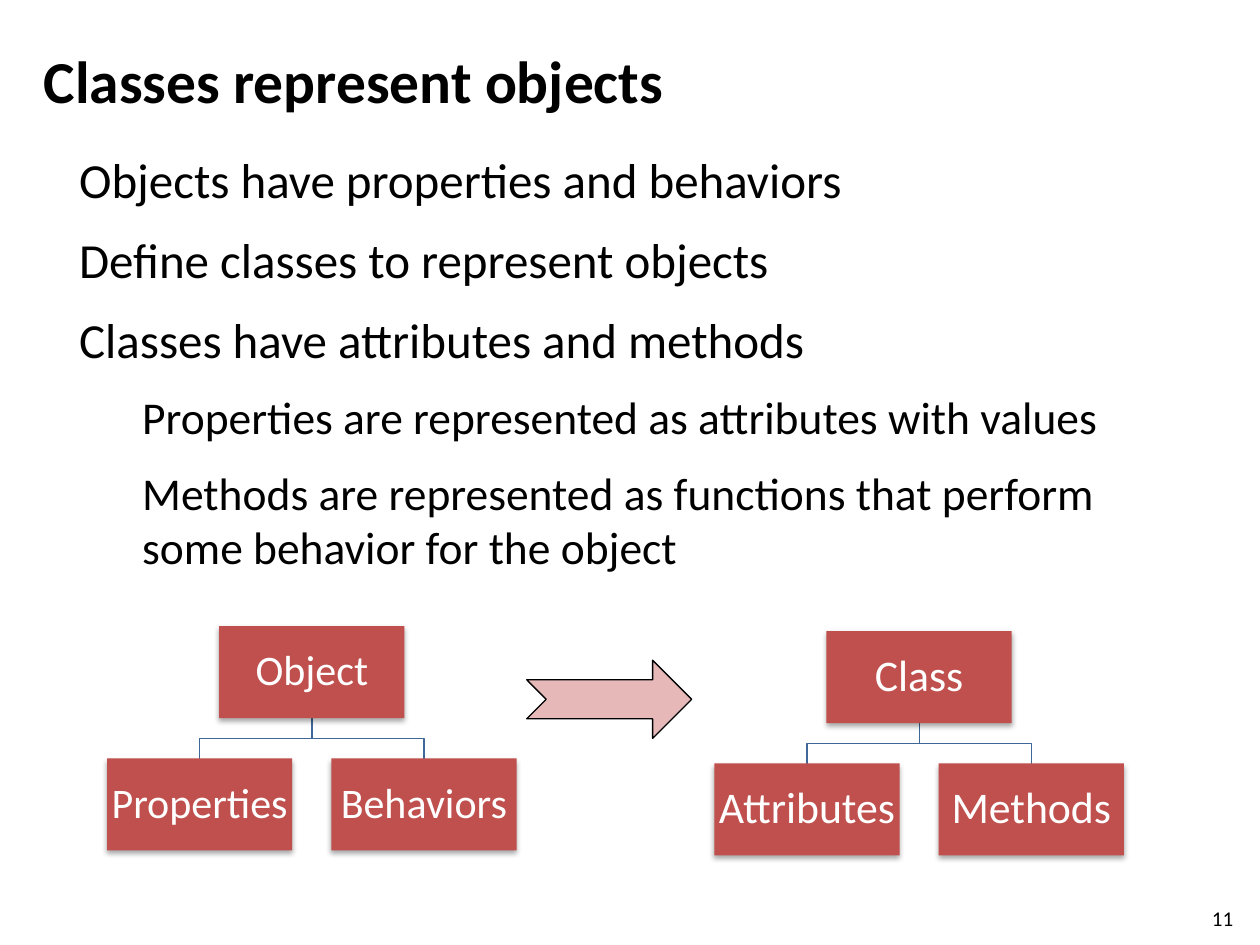
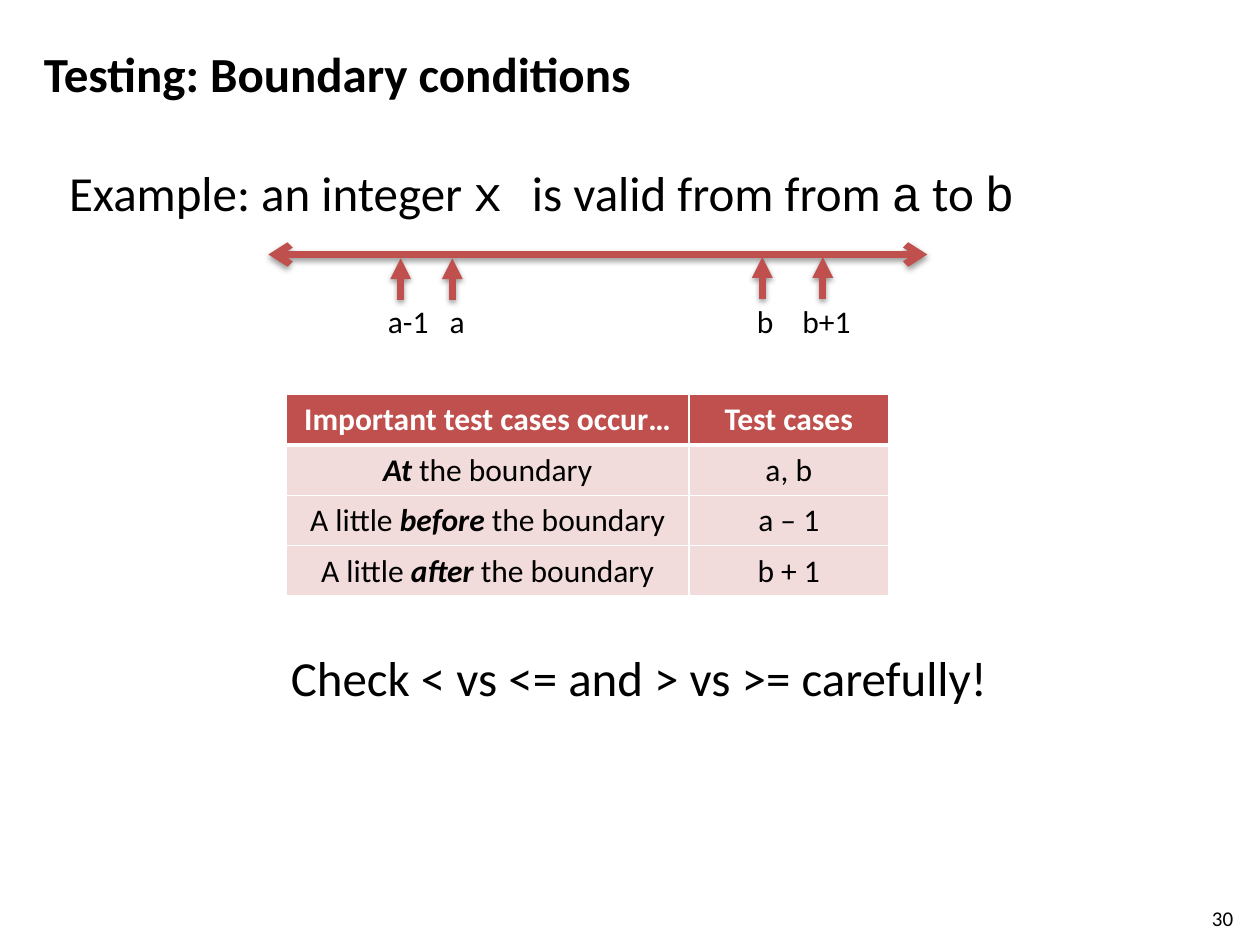
import dataclasses

import pptx
import pptx.dml.color
import pptx.enum.shapes
import pptx.enum.text
import pptx.oxml
import pptx.oxml.ns
import pptx.util
from pptx.util import Inches

SHAPE = pptx.enum.shapes.MSO_SHAPE
ALIGN = pptx.enum.text.PP_ALIGN
ANCHOR = pptx.enum.text.MSO_ANCHOR
Pt = pptx.util.Pt
NS = pptx.oxml.ns.nsdecls("a")


@dataclasses.dataclass(frozen=True)
class Theme:
    # Fonts and type sizes
    font: str = "Calibri"
    code: str = "Courier New"
    title: int = 34
    long_title: int = 28
    body: int = 28
    sub: int = 26
    small: int = 18
    number: int = 12
    # Colours
    ink: str = "000000"
    paper: str = "FFFFFF"
    accent: str = "C0504D"
    accent_mid: str = "E6B9B8"
    accent_pale: str = "F2DCDB"
    branch: str = "3F6797"


def rgb(value):
    return pptx.dml.color.RGBColor.from_string(value)


def xml(text):
    return pptx.oxml.parse_xml(text)


class Deck:
    """Holds the style and the current slide."""

    def __init__(self, theme):
        self.t = theme
        self.prs = pptx.Presentation()
        self.prs.slide_width, self.prs.slide_height = Inches(10), Inches(7.5)
        self.s = None

    def slide(self, title, number, size):
        self.s = self.prs.slides.add_slide(self.prs.slide_layouts[6])
        self.text(0.25, 0.3, 8.67, 0.7, [title], size=size, bold=True)
        self.text(9.52, 7.14, 0.4, 0.24, [str(number)], size=self.t.number)

    def add_runs(self, p, runs, color=None, **font):
        """Runs are a plain string or a list of (text, font overrides)."""
        if isinstance(runs, str):
            runs = [(runs, {})]
        for text, changes in runs:
            r = p.add_run()
            r.text = text
            for key, value in {"name": self.t.font, **font, **changes}.items():
                setattr(r.font, key, Pt(value) if key == "size" else value)
            r.font.color.rgb = rgb(color or self.t.ink)

    def text(self, x, y, w, h, paragraphs, size, after=0, align=ALIGN.LEFT, **font):
        tf = self.s.shapes.add_textbox(*map(Inches, (x, y, w, h))).text_frame
        tf.word_wrap = True
        for i, runs in enumerate(paragraphs):
            p = tf.paragraphs[0] if i == 0 else tf.add_paragraph()
            for key, value in {"alignment": align, "space_after": Pt(after)}.items():
                setattr(p, key, value)
            self.add_runs(p, runs, size=size, **font)
        return tf

    def shadow(self, spPr, alpha, dist):
        effects = spPr.find(pptx.oxml.ns.qn("a:effectLst"))
        if effects is None:
            effects = xml(f"<a:effectLst {NS}/>")
            spPr.append(effects)
        effects.append(xml(
            f'<a:outerShdw {NS} blurRad="{Pt(3.1)}" dist="{Pt(dist)}" dir="5400000" '
            f'rotWithShape="0"><a:srgbClr val="{self.t.ink}">'
            f'<a:alpha val="{alpha * 1000}"/></a:srgbClr></a:outerShdw>'))

    def shape(self, kind, x, y, w, h, fill, line=None):
        sp = self.s.shapes.add_shape(kind, *map(Inches, (x, y, w, h)))
        sp.shadow.inherit = False
        sp.fill.solid()
        sp.fill.fore_color.rgb = rgb(fill)
        if line:
            sp.line.color.rgb, sp.line.width = rgb(line), Pt(0.75)
        else:
            sp.line.fill.background()
        return sp

    def box(self, x, y, w, h, label, size):
        sp = self.shape(SHAPE.RECTANGLE, x, y, w, h, self.t.accent)
        self.shadow(sp._element.spPr, 35, 1.8)
        tf = sp.text_frame
        margins = {f"margin_{side}": Inches(0.02)
                   for side in ("left", "right", "top", "bottom")}
        for key, value in {**margins, "word_wrap": True,
                           "vertical_anchor": ANCHOR.MIDDLE}.items():
            setattr(tf, key, value)
        p = tf.paragraphs[0]
        p.alignment, p.line_spacing = ALIGN.CENTER, 0.9
        self.add_runs(p, label, color=self.t.paper, size=size)

    def branch(self, points):
        points = [(Inches(x), Inches(y)) for x, y in points]
        builder = self.s.shapes.build_freeform(*points[0])
        builder.add_line_segments(points[1:], close=False)
        sp = builder.convert_to_shape()
        sp.shadow.inherit = False
        sp.fill.background()
        sp.line.color.rgb, sp.line.width = rgb(self.t.branch), Pt(0.75)

    def tree(self, x, y, root, children, size):
        """A root box centred above two child boxes."""
        w, h, step, drop = 1.47, 0.73, 1.78, 1.05
        root_x = x + step / 2
        middle, joint = root_x + w / 2, y + (h + drop) / 2
        lefts = [x + i * step for i in range(len(children))]
        for left in lefts:
            end = left + w / 2
            self.branch([(middle, y + h), (middle, joint), (end, joint), (end, y + drop)])
        self.box(root_x, y, w, h, root, size)
        for left, label in zip(lefts, children):
            self.box(left, y + drop, w, h, label, size)

    def arrow(self, x1, y1, x2, y2, **ends):
        c = self.s.shapes.add_connector(
            pptx.enum.shapes.MSO_CONNECTOR.STRAIGHT, *map(Inches, (x1, y1, x2, y2)))
        c.line.color.rgb, c.line.width = rgb(self.t.accent), Pt(4)
        ln = c.line._get_or_add_ln()
        for end, kind in ends.items():
            ln.append(xml(f'<a:{end} {NS} type="{kind}"/>'))
        self.shadow(c._element.spPr, 38, 1.6)

    def table(self, x, y, widths, row_h, rows):
        tbl = self.s.shapes.add_table(
            len(rows), len(widths), Inches(x), Inches(y),
            Inches(sum(widths)), Inches(row_h * len(rows))).table
        tbl.horz_banding = False
        for col, width in zip(tbl.columns, widths):
            col.width = Inches(width)
        for i, row in enumerate(rows):
            tbl.rows[i].height = Inches(row_h)
            header = i == 0
            for j, runs in enumerate(row):
                cell = tbl.cell(i, j)
                borders = {"lnL": 1, "lnR": 1, "lnT": 3 if i == 1 else 1,
                           "lnB": 3 if header else 1}
                for side, width in borders.items():
                    cell._tc.get_or_add_tcPr().append(xml(
                        f'<a:{side} {NS} w="{Pt(width)}"><a:solidFill>'
                        f'<a:srgbClr val="{self.t.paper}"/></a:solidFill></a:{side}>'))
                cell.fill.solid()
                cell.fill.fore_color.rgb = rgb(
                    self.t.accent if header else self.t.accent_pale)
                p = cell.text_frame.paragraphs[0]
                p.alignment = ALIGN.CENTER
                self.add_runs(p, runs, color=self.t.paper if header else self.t.ink,
                              size=self.t.small, bold=header)


def classes_slide(d):
    t = d.t
    d.slide("Classes represent objects", 11, t.title)

    # Statements, the last two indented
    sub = {"size": t.sub}
    tf = d.text(0.53, 1.14, 8.81, 3.7, [
        "Objects have properties and behaviors",
        "Define classes to represent objects",
        "Classes have attributes and methods",
        [("Properties are represented as attributes with values", sub)],
        [("Methods are represented as functions that perform "
          "some behavior for the object", sub)],
    ], size=t.body, after=12)
    for p in tf.paragraphs[3:]:
        p.level = 1
        p._p.get_or_add_pPr().set("marL", str(Inches(0.5)))

    # Object tree maps to class tree
    d.tree(0.85, 4.97, "Object", ["Properties", "Behaviors"], 24)
    d.tree(5.67, 5.01, "Class", ["Attributes", "Methods"], 25)
    d.shape(SHAPE.NOTCHED_RIGHT_ARROW, 4.18, 5.24, 1.31, 0.62, t.accent_mid, t.ink)


def boundary_slide(d):
    t = d.t
    d.slide("Testing: Boundary conditions", 30, t.long_title)
    code, strong = {"name": t.code}, {"bold": True, "italic": True}
    d.text(0.45, 1.24, 8.54, 0.6, [[
        ("Example: an integer ", {}), ("x ", code), ("is valid from from ", {}),
        ("a", code), (" to ", {}), ("b", code)]], size=t.body, after=12)

    # Number line with its marked values
    tf = d.text(2.98, 2.35, 4, 0.51, ["a-1\ta\tb\tb+1"], size=t.small)
    stops = "".join(f'<a:tab pos="{Inches(x)}" algn="l"/>' for x in (0.49, 2.93, 3.29))
    tf.paragraphs[0]._p.get_or_add_pPr().append(xml(f"<a:tabLst {NS}>{stops}</a:tabLst>"))
    d.arrow(2.13, 2.02, 7.36, 2.02, headEnd="arrow", tailEnd="arrow")
    for x, y in ((3.18, 2.05), (3.59, 2.05), (6.05, 2.04), (6.53, 2.04)):
        d.arrow(x, y, x, y + 0.33, headEnd="triangle")

    # Test cases
    d.table(2.27, 3.13, [3.2, 1.58], 0.4, [
        ["Important test cases occur…", "Test cases"],
        [[("At", strong), (" the boundary", {})], "a, b"],
        [[("A little ", {}), ("before", strong), (" the boundary", {})], "a – 1"],
        [[("A little ", {}), ("after", strong), (" the boundary", {})], "b + 1"],
    ])
    d.text(0.8, 5.09, 8.54, 0.6, ["Check < vs <= and > vs >= carefully!"],
           size=t.body, after=12, align=ALIGN.CENTER)


def main():
    d = Deck(Theme())
    classes_slide(d)
    boundary_slide(d)
    d.prs.save("out.pptx")


if __name__ == "__main__":
    main()
